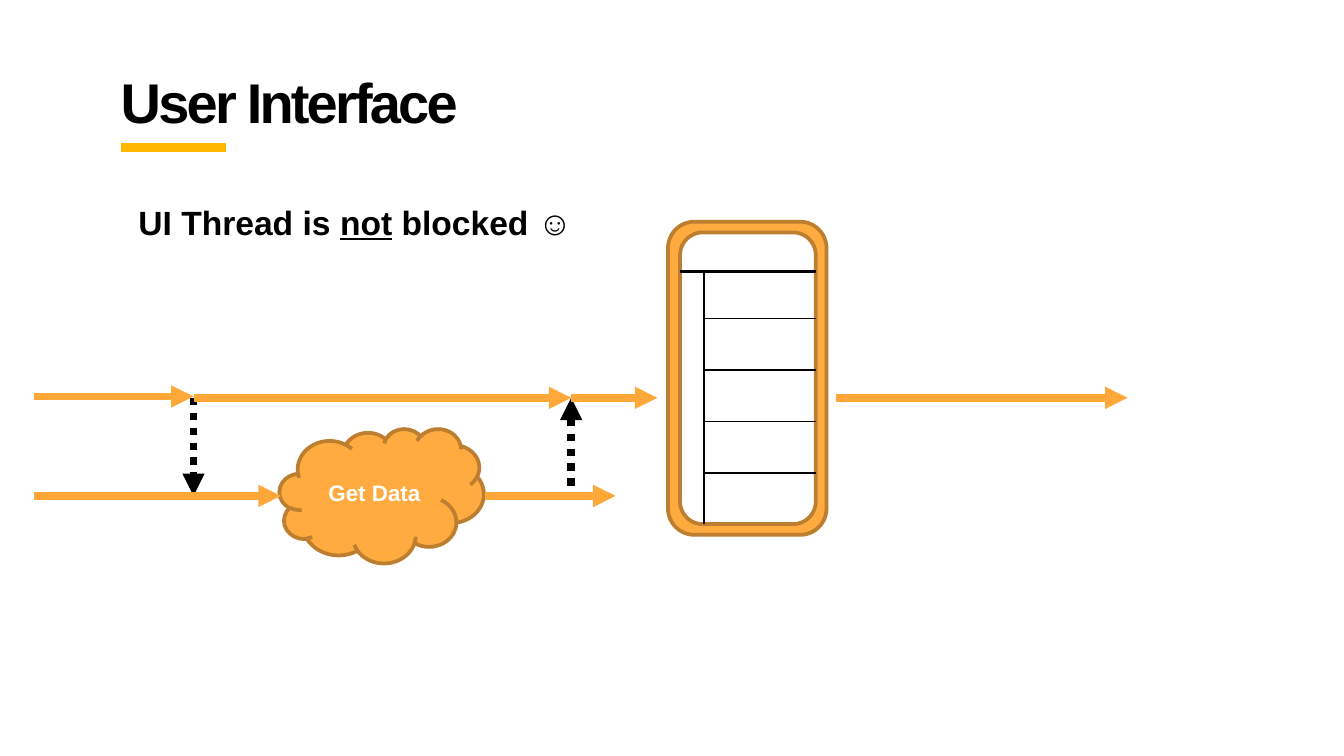
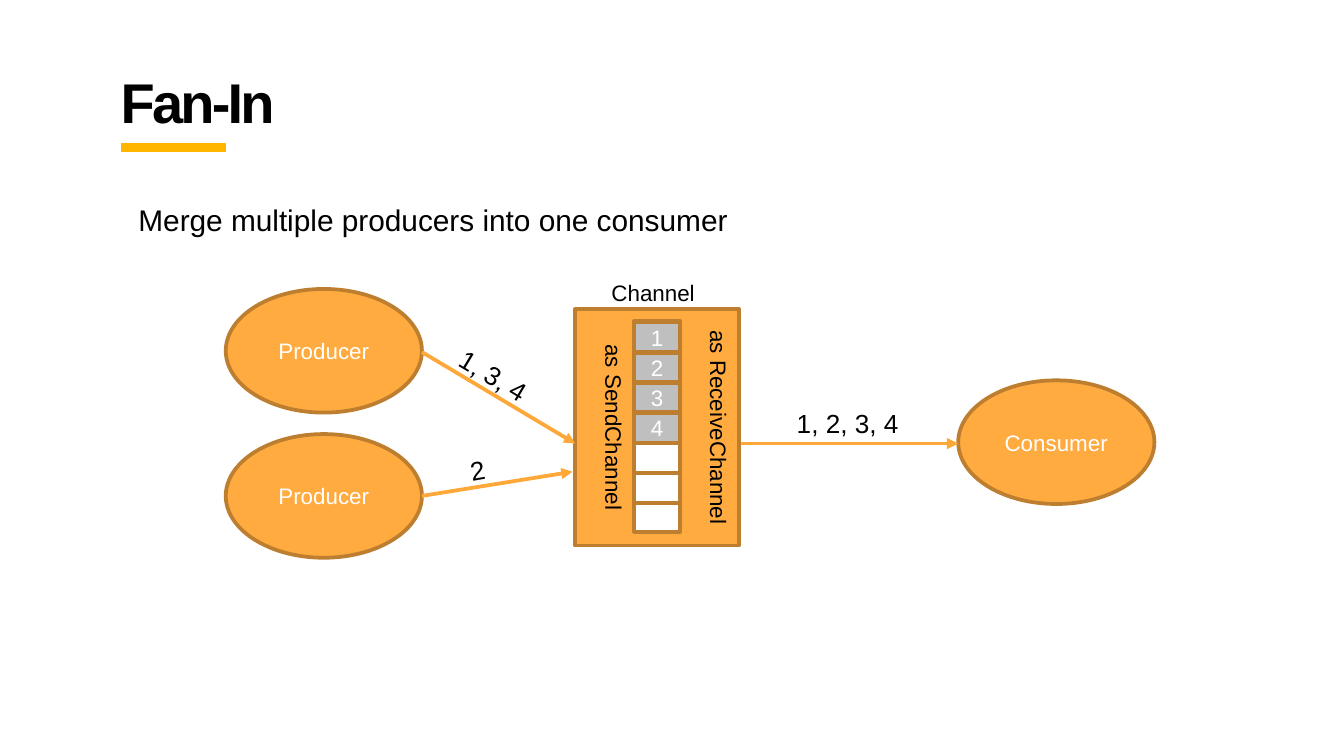
from pptx import Presentation
from pptx.dml.color import RGBColor
from pptx.enum.dml import MSO_LINE
from pptx.enum.shapes import MSO_CONNECTOR, MSO_SHAPE
from pptx.enum.text import MSO_ANCHOR, MSO_AUTO_SIZE, PP_ALIGN
from pptx.oxml.ns import qn
from pptx.util import Inches, Pt
from lxml.etree import SubElement

COLORS = {
    "ink": "000000",
    "paper": "FFFFFF",
    "accent": "FFB600",
    "arrow": "FEA83A",
    "fill": "FFAB40",
    "edge": "BD7F2F",
    "filled_slot": "BFBFBF",
}
FONT = "Arial"


def rgb(name):
    return RGBColor.from_string(COLORS[name])


def write(paragraph, text, size, color="ink", bold=False, underline=False):
    run = paragraph.add_run()
    run.text = text
    run.font.name = FONT
    run.font.size = Pt(size)
    run.font.bold = bold
    run.font.underline = underline
    run.font.color.rgb = rgb(color)
    return run


def add_block(shapes, kind, box, fill="fill", text="", bold=False):
    block = shapes.add_shape(kind, *map(Inches, box))
    block.shadow.inherit = False
    block.fill.solid()
    block.fill.fore_color.rgb = rgb(fill)
    block.line.color.rgb = rgb("edge")
    block.line.width = Pt(2)
    if text:
        block.text_frame.vertical_anchor = MSO_ANCHOR.MIDDLE
        paragraph = block.text_frame.paragraphs[0]
        paragraph.alignment = PP_ALIGN.CENTER
        write(paragraph, text, 12, "paper", bold)


def add_line(shapes, start, end, color, width, arrow=None, dotted=False):
    line = shapes.add_connector(MSO_CONNECTOR.STRAIGHT, *map(Inches, start + end))
    line.line.color.rgb = rgb(color)
    line.line.width = Pt(width)
    if dotted:
        line.line.dash_style = MSO_LINE.ROUND_DOT
    properties = line._element.spPr
    if arrow:
        SubElement(properties.find(qn("a:ln")), qn(f"a:{arrow}End"), type="triangle")
    SubElement(properties, qn("a:effectLst"))


def add_label(slide, box, text, size, centered=False, wrap=True, rotation=0, vertical=False):
    label = slide.shapes.add_textbox(*map(Inches, box))
    label.rotation = rotation
    frame = label.text_frame
    frame.word_wrap = wrap
    frame.auto_size = MSO_AUTO_SIZE.SHAPE_TO_FIT_TEXT
    if vertical:
        frame._txBody.bodyPr.set("vert", "vert")
    if centered:
        frame.paragraphs[0].alignment = PP_ALIGN.CENTER
    write(frame.paragraphs[0], text, size)


def add_text_area(slide, box, indent=0):
    frame = slide.shapes.add_textbox(*map(Inches, box)).text_frame
    frame.word_wrap = True
    frame.margin_left = Inches(0.1 + indent)
    frame.margin_top = frame.margin_right = frame.margin_bottom = Inches(0.1)
    return frame.paragraphs[0]


def add_heading(slide, box, title, statement, size, bold=False):
    left, top, width, height = box
    heading = add_text_area(slide, (left, top, width, 0.63))
    write(heading, title, 30, bold=True).font._element.set("spc", "-150")
    body = add_text_area(slide, (left, top + 1, width, height - 1), 0.13)
    for text, underline in statement:
        write(body, text, size, bold=bold, underline=underline)
    add_line(slide.shapes, (left + 0.1, top + 0.7), (left + 0.88, top + 0.7), "accent", 5)


def add_phone(slide, box):
    left, top, width, height = box
    phone = slide.shapes.add_group_shape().shapes
    add_block(phone, MSO_SHAPE.ROUNDED_RECTANGLE, box)
    screen_left, screen_top = left + 0.09, top + 0.08
    screen_width, screen_height = width - 0.17, height - 0.16
    screen_right = screen_left + screen_width
    add_block(phone, MSO_SHAPE.ROUNDED_RECTANGLE,
              (screen_left, screen_top, screen_width, screen_height), "paper")
    header, margin = screen_top + 0.29, screen_left + 0.18
    add_line(phone, (screen_left, header), (screen_right, header), "ink", 2)
    add_line(phone, (margin, header), (margin, screen_top + screen_height), "ink", 1)
    for row in range(4):
        y = header + 0.35 + row * 1.15 / 3
        add_line(phone, (margin, y), (screen_right, y), "ink", 1)


def add_handoffs(slide, box):
    left, top, width, height = box
    for offset, arrow in ((4, "head"), (1.19, "tail")):
        x = left + offset
        add_line(slide.shapes, (x, top), (x, top + height), "ink", 4, arrow, True)


def add_threads(slide, box):
    left, top, width, height = box
    background = top + height
    add_block(slide.shapes, MSO_SHAPE.CLOUD, (left + 1.83, background - 0.5, 1.52, 1),
              text="Get Data", bold=True)
    segments = [
        (5.97, width, top), (4, 4.64, top), (0, 1.84, background),
        (3.36, 4.33, background), (1.19, 4, top), (0, 1.19, top - 0.01),
    ]
    for start, end, y in segments:
        add_line(slide.shapes, (left + start, y), (left + end, y), "arrow", 4, "tail")


def add_channel(slide, box):
    left, top, width, height = box
    add_block(slide.shapes, MSO_SHAPE.RECTANGLE, box)
    for offset, role in ((0.04, "as SendChannel"), (0.82, "as ReceiveChannel")):
        add_label(slide, (left + offset, top, 0.4, height), role, 12,
                  centered=True, vertical=True)
    slot_left, slot_width, buffer_height = left + 0.44, 0.34, 1.57
    add_block(slide.shapes, MSO_SHAPE.RECTANGLE,
              (slot_left, top + 0.09, slot_width, buffer_height), "paper")
    for index, value in enumerate(("1", "2", "3", "4", "", "")):
        slot_top = top + 0.1 + index * buffer_height / 7
        add_block(slide.shapes, MSO_SHAPE.RECTANGLE,
                  (slot_left, slot_top, slot_width, 0.22),
                  "filled_slot" if value else "paper", value)
    add_label(slide, (left - 0.06, top - 0.27, 1.28, 0.3), "Channel", 12, centered=True)


def add_fan_in(slide, box):
    left, top, width, height = box
    node_width, node_height = 1.46, 0.92
    nodes = [
        (0, 0, "Producer"),
        (0, height - node_height, "Producer"),
        (width - node_width, 0.68, "Consumer"),
    ]
    for x, y, name in nodes:
        add_block(slide.shapes, MSO_SHAPE.OVAL,
                  (left + x, top + y, node_width, node_height), text=name)
    flows = [
        ((node_width, 0.47), (2.6, 1.15)),
        ((node_width, 1.54), (2.58, 1.36)),
        ((3.83, 1.15), (width - node_width, 1.15)),
    ]
    for (x1, y1), (x2, y2) in flows:
        add_line(slide.shapes, (left + x1, top + y1), (left + x2, top + y2),
                 "arrow", 2, "tail")
    values = [
        (1.62, 0.48, 0.75, "1, 3, 4", 31),
        (1.72, 1.18, 0.31, "2", 350),
        (4.15, 0.83, 0.97, "1, 2, 3, 4", 0),
    ]
    for x, y, label_width, text, rotation in values:
        add_label(slide, (left + x, top + y, label_width, 0.34), text, 14,
                  wrap=False, rotation=rotation)


def main():
    deck = Presentation()
    deck.slide_width, deck.slide_height = Inches(10), Inches(10 * 9 / 16)
    blank = deck.slide_layouts[6]
    heading_box = (0.8, 0.4, 8.35, 4.59)

    interface = deck.slides.add_slide(blank)
    timeline_box = (0.25, 2.96, 8.14, 0.73)
    add_handoffs(interface, timeline_box)
    add_heading(interface, heading_box, "User Interface",
                [("UI Thread is ", False), ("not", True), (" blocked ☺", False)], 18, True)
    add_phone(interface, (4.97, 1.65, 1.18, 2.33))
    add_threads(interface, timeline_box)

    fan_in = deck.slides.add_slide(blank)
    add_heading(fan_in, heading_box, "Fan-In",
                [("Merge multiple producers into one consumer", False)], 16)
    add_channel(fan_in, (4.28, 2.3, 1.22, 1.76))
    add_fan_in(fan_in, (1.68, 2.15, 6.91, 2))

    deck.save("out.pptx")


if __name__ == "__main__":
    main()
